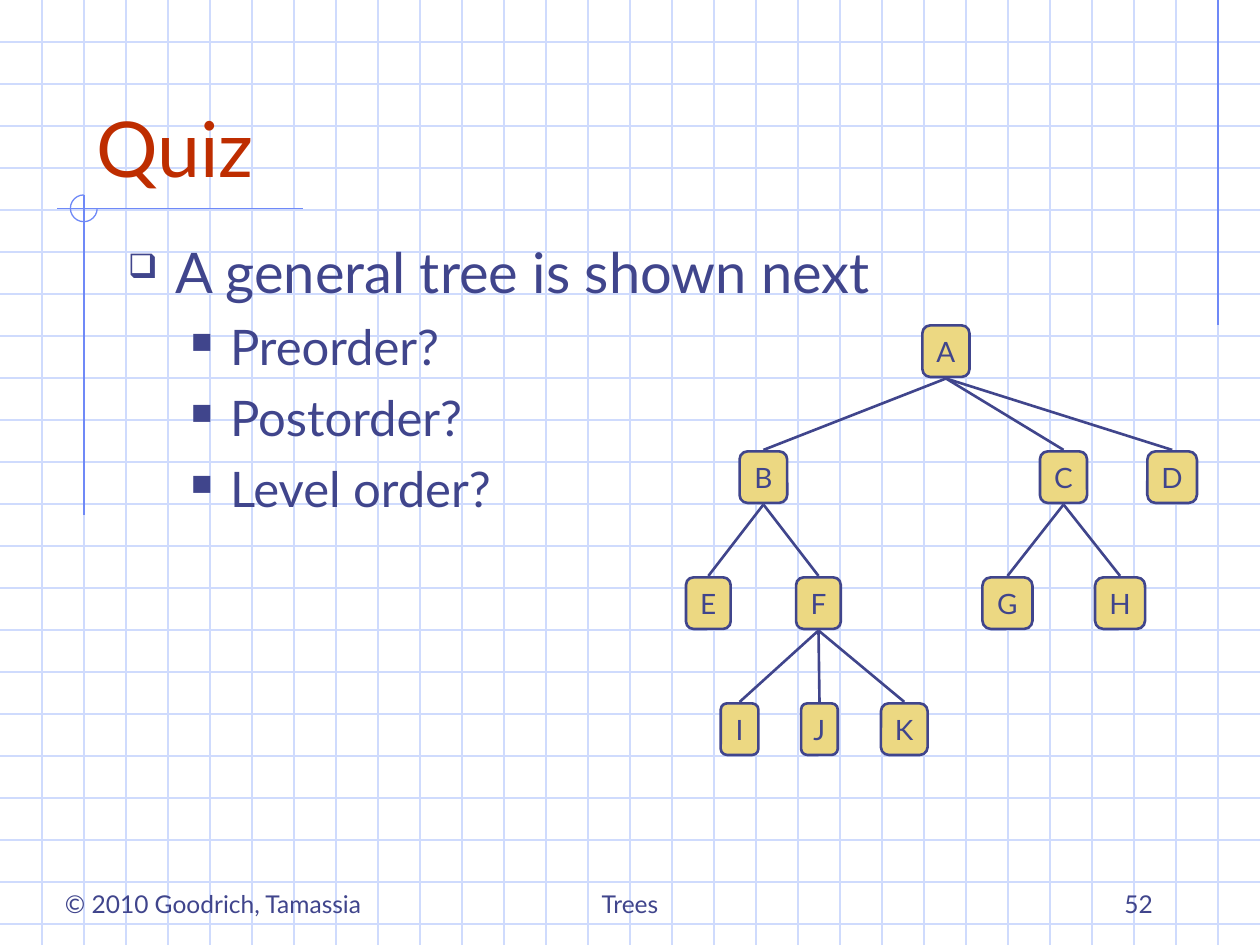
import lxml.etree
import pptx
import pptx.dml.color
import pptx.enum.shapes
import pptx.enum.text
import pptx.oxml.ns
import pptx.util

Cm = pptx.util.Cm
Pt = pptx.util.Pt
Shape = pptx.enum.shapes.MSO_SHAPE
Align = pptx.enum.text.PP_ALIGN
Anchor = pptx.enum.text.MSO_ANCHOR

WIDE, HIGH = 25.4, 19.05
STEP = 2.54 / 3
HUES = {"grid": "CFDBFD", "rule": "6F89F7", "title": "BE2D00",
        "ink": "40458C", "node": "ECD882"}

# Tree nodes: level, centre, width, parent
NODES = {
    "A": (0, 19.07, 0.95, None),
    "B": (1, 15.39, 0.96, "A"),
    "C": (1, 21.44, 0.95, "A"),
    "D": (1, 23.63, 1.0, "A"),
    "E": (2, 14.28, 0.9, "B"),
    "F": (2, 16.5, 0.9, "B"),
    "G": (2, 20.31, 1.01, "C"),
    "H": (2, 22.58, 1.01, "C"),
    "I": (3, 14.91, 0.76, "F"),
    "J": (3, 16.52, 0.74, "F"),
    "K": (3, 18.23, 0.94, "F"),
}
TREE_TOP, LEVEL, TALL, GAP = 6.56, 2.54, 1.04, 0.03


def add_mark(para, char, hue):
    props = para._p.get_or_add_pPr()

    def add(tag, parent=props, **attrs):
        return lxml.etree.SubElement(parent, pptx.oxml.ns.qn(tag), attrs)

    add("a:srgbClr", add("a:buClr"), val=hue)
    add("a:buSzPct", val="60000")
    add("a:buChar", char=char)


class Page:
    def __init__(self, slide, font="Lato"):
        self.slide = slide
        self.font = font

    def hue(self, name):
        return pptx.dml.color.RGBColor.from_string(HUES[name])

    def stroke(self, item, hue, width):
        item.line.color.rgb = self.hue(hue)
        item.line.width = Pt(width)

    def line(self, x1, y1, x2, y2, hue, width=0.75):
        link = self.slide.shapes.add_connector(
            pptx.enum.shapes.MSO_CONNECTOR.STRAIGHT,
            Cm(x1), Cm(y1), Cm(x2), Cm(y2))
        self.stroke(link, hue, width)
        lxml.etree.SubElement(link._element.spPr,
                              pptx.oxml.ns.qn("a:effectLst"))

    def shape(self, kind, x, y, w, h):
        item = self.slide.shapes.add_shape(kind, Cm(x), Cm(y), Cm(w), Cm(h))
        item.shadow.inherit = False
        return item

    def arc(self, x, y, size, hue):
        """Draw three quarters of a ring, open at the upper right."""
        item = self.shape(Shape.ARC, x, y, size, size)
        item.adjustments[0] = 0
        item.adjustments[1] = 162  # 270 degrees
        item.fill.background()
        self.stroke(item, hue, 0.75)

    def run(self, para, text, size, hue="ink"):
        run = para.add_run()
        run.text = text
        run.font.name = self.font
        run.font.size = Pt(size)
        run.font.color.rgb = self.hue(hue)

    def box(self, x, y, w, h, anchor):
        frame = self.slide.shapes.add_textbox(
            Cm(x), Cm(y), Cm(w), Cm(h)).text_frame
        frame.word_wrap = True
        frame.vertical_anchor = anchor
        return frame

    def label(self, x, y, w, h, text, size=14, hue="ink", align=Align.LEFT):
        para = self.box(x, y, w, h, Anchor.BOTTOM).paragraphs[0]
        para.alignment = align
        self.run(para, text, size, hue)

    def bullets(self, x, y, w, h, items):
        frame = self.box(x, y, w, h, Anchor.TOP)
        for count, (level, text) in enumerate(items):
            para = frame.add_paragraph() if count else frame.paragraphs[0]
            left, hang, char, size = [(0.95, 0.95, "❑", 32),
                                      (2.06, 0.79, "■", 28)][level]
            para.level = level
            props = para._p.get_or_add_pPr()
            props.set("marL", str(Cm(left)))
            props.set("indent", str(-Cm(hang)))
            add_mark(para, char, HUES["ink"])
            para.space_before = Pt(7 if count else 0)
            self.run(para, text, size)

    def node(self, name, x, y, w, h):
        item = self.shape(Shape.ROUNDED_RECTANGLE, x - w / 2, y, w, h)
        item.fill.solid()
        item.fill.fore_color.rgb = self.hue("node")
        self.stroke(item, "ink", 1.5)
        frame = item.text_frame
        frame.word_wrap = False
        frame.vertical_anchor = Anchor.MIDDLE
        frame.paragraphs[0].alignment = Align.CENTER
        self.run(frame.paragraphs[0], name, 16)

    def tree(self, nodes):
        for name, (level, x, width, parent) in nodes.items():
            top = TREE_TOP + level * LEVEL
            self.node(name, x, top, width, TALL)
            if parent:
                foot = top - LEVEL + TALL
                self.line(nodes[parent][1], foot + GAP, x, top - GAP,
                          "ink", 1.5)


def main():
    deck = pptx.Presentation()
    deck.slide_width, deck.slide_height = Cm(WIDE), Cm(HIGH)
    page = Page(deck.slides.add_slide(deck.slide_layouts[6]))

    for row in range(1, 23):
        page.line(0, row * STEP, WIDE, row * STEP, "grid")
    for col in range(1, 30):
        page.line(col * STEP, 0, col * STEP, HIGH, "grid")
    page.line(29 * STEP, 0, 29 * STEP, 6.56, "rule")
    page.line(6.1, 4.21, 1.15, 4.21, "rule")
    page.line(2 * STEP, 3.93, 2 * STEP, 10.39, "rule")
    page.arc(1.42, 3.93, 0.54, "rule")

    page.label(1.69, 0.85, 21.59, 3.17, "Quiz", 44, "title")
    page.label(1.06, 17.36, 6.99, 1.27, "© 2010 Goodrich, Tamassia")
    page.label(8.68, 17.36, 8.04, 1.27, "Trees", align=Align.CENTER)
    page.label(18.2, 17.36, 5.29, 1.27, "52", align=Align.RIGHT)
    page.bullets(2.33, 4.66, 21.59, 12.07, [
        (0, "A general tree is shown next"),
        (1, "Preorder?"),
        (1, "Postorder?"),
        (1, "Level order?"),
    ])
    page.tree(NODES)
    deck.save("out.pptx")


if __name__ == "__main__":
    main()
